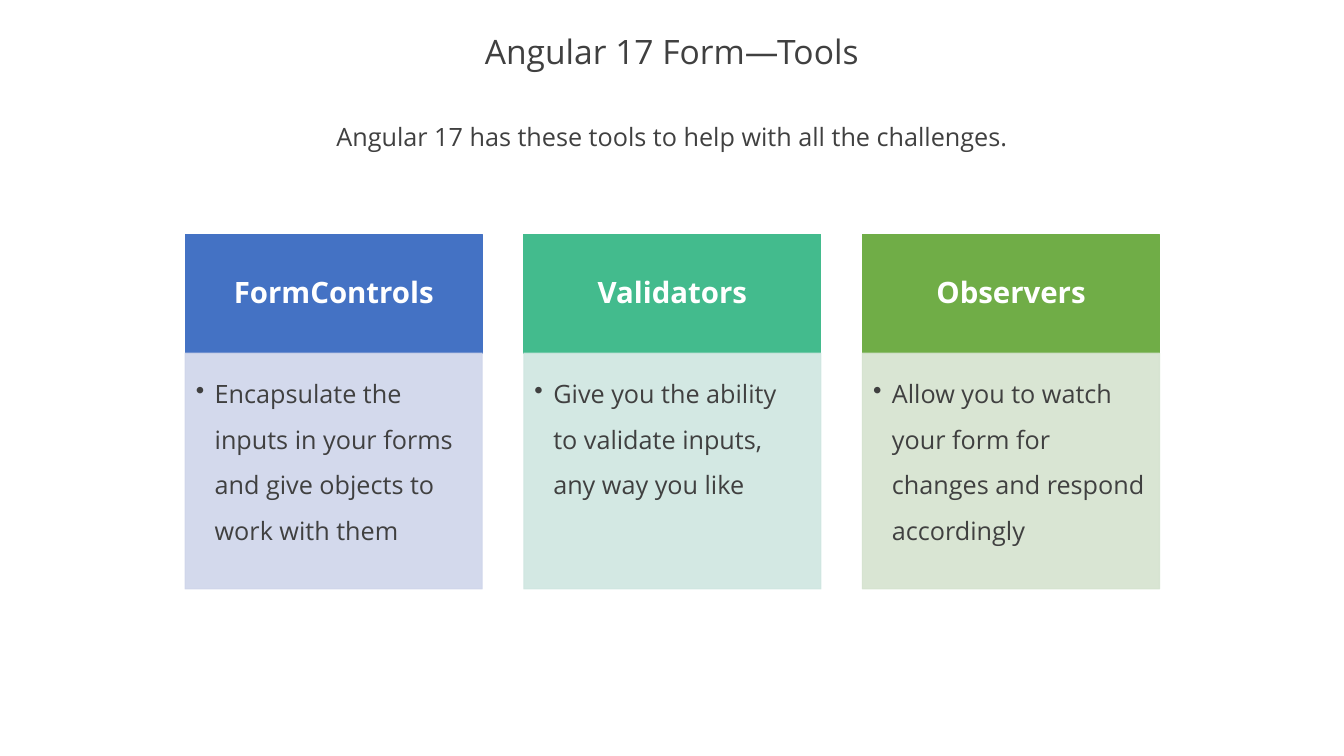
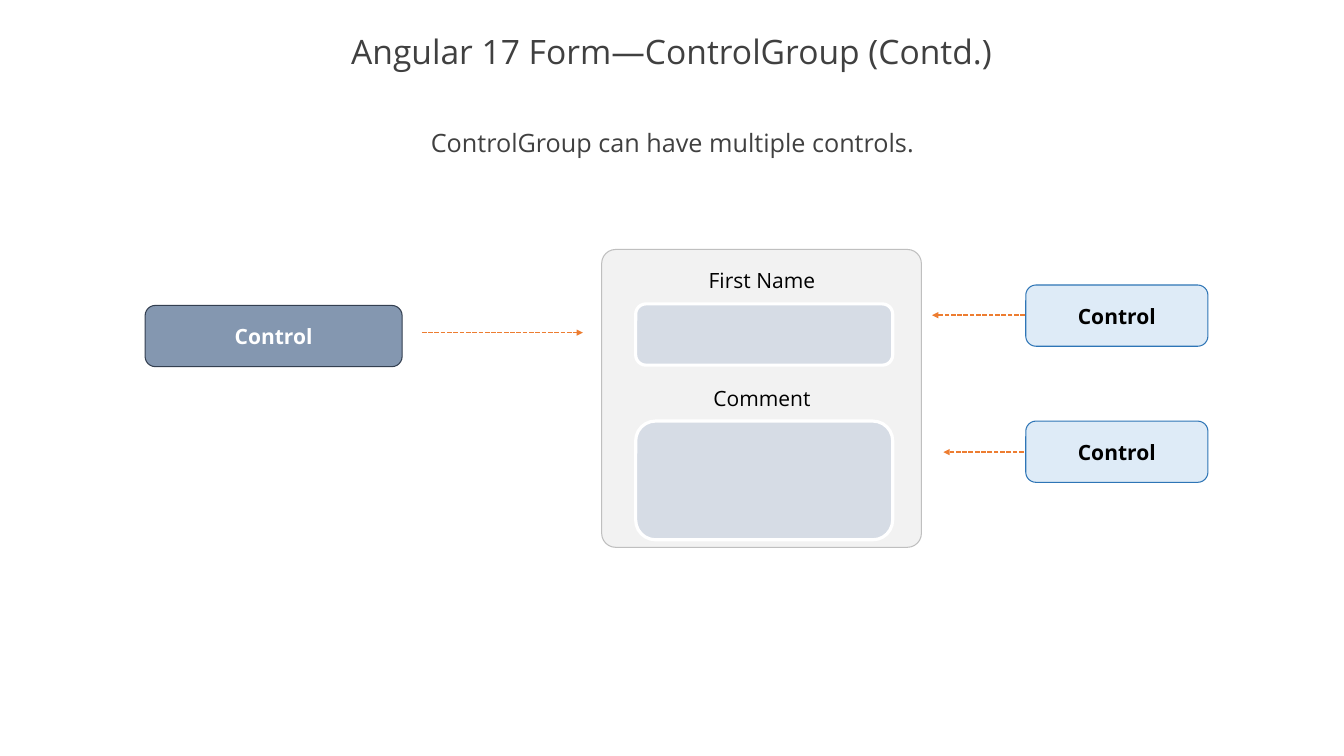
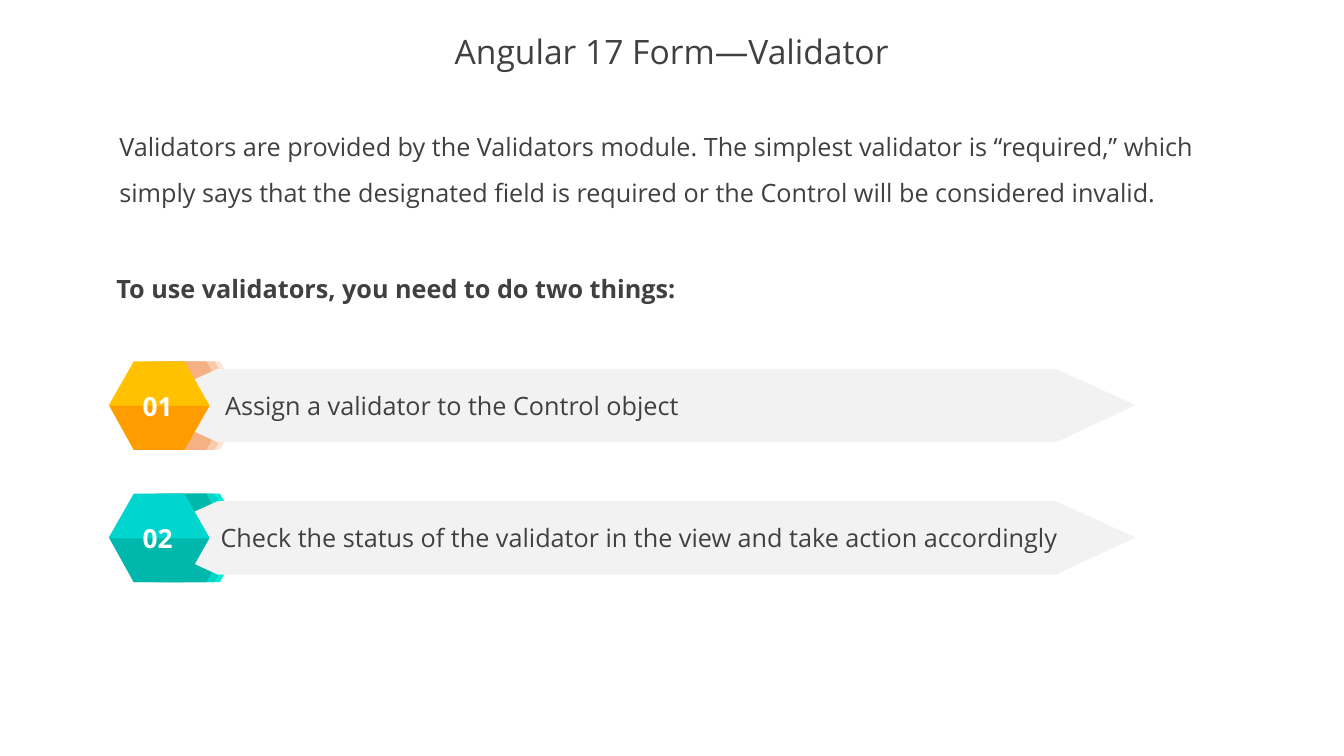
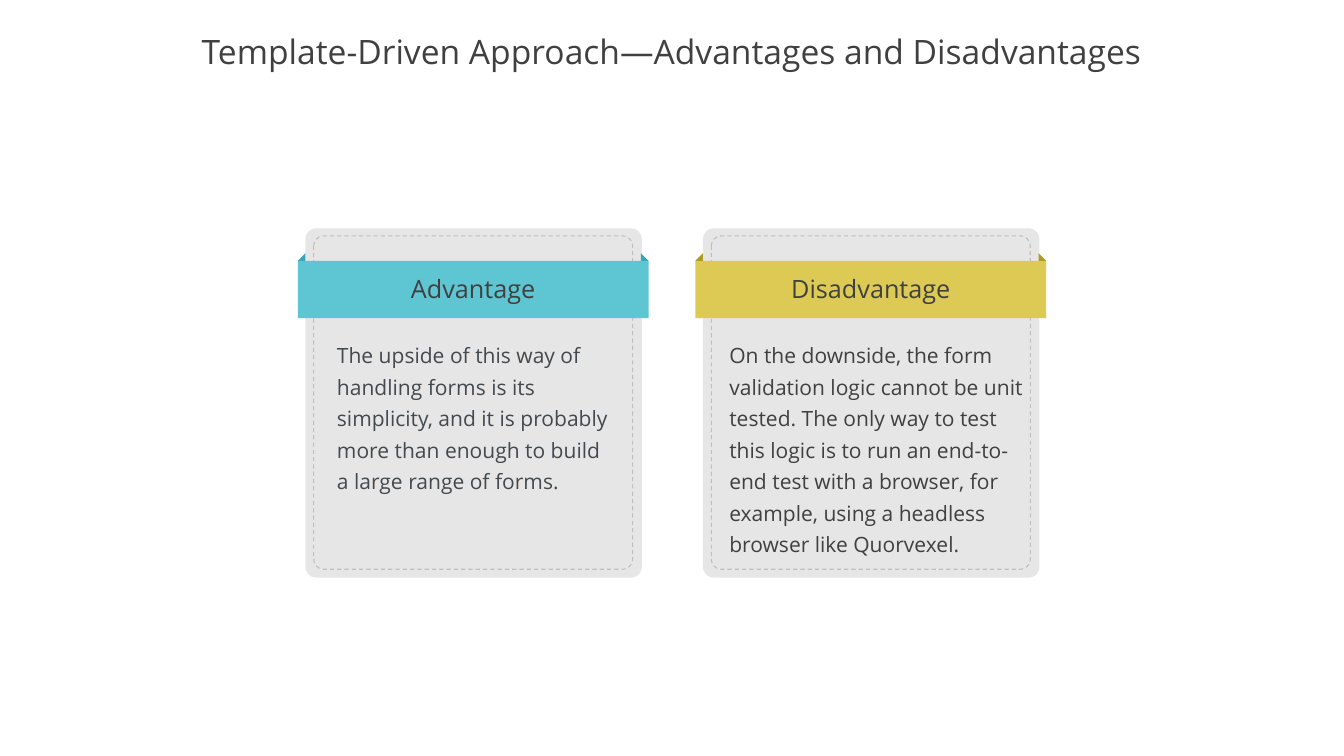
from lxml.etree import SubElement
from pptx import Presentation
from pptx.dml.color import RGBColor
from pptx.enum.dml import MSO_LINE
from pptx.enum.shapes import MSO_CONNECTOR, MSO_SHAPE
from pptx.enum.text import MSO_ANCHOR, PP_ALIGN
from pptx.oxml.ns import qn
from pptx.util import Inches, Pt

FONT = "Open Sans"
INK = RGBColor(0x40, 0x40, 0x40)
SLATE = RGBColor(0x44, 0x49, 0x4E)
BLACK = RGBColor(0, 0, 0)
WHITE = RGBColor(0xFF, 0xFF, 0xFF)
PALE = RGBColor(0xF2, 0xF2, 0xF2)
CARD = RGBColor(0xE7, 0xE6, 0xE6)
EDGE = RGBColor(0xBF, 0xBF, 0xBF)
BLUE = RGBColor(0x44, 0x72, 0xC4)
BLUE_TINT = RGBColor(0xCF, 0xD5, 0xEA)
MINT = RGBColor(0x43, 0xBB, 0x8D)
MINT_TINT = RGBColor(0xCF, 0xE6, 0xE0)
GREEN = RGBColor(0x70, 0xAD, 0x47)
GREEN_TINT = RGBColor(0xD5, 0xE3, 0xCF)
STEEL = RGBColor(0x84, 0x97, 0xB0)
NAVY = RGBColor(0x33, 0x3F, 0x50)
FIELD = RGBColor(0xD6, 0xDC, 0xE5)
SKY = RGBColor(0xDE, 0xEB, 0xF7)
SKY_EDGE = RGBColor(0x2E, 0x75, 0xB6)
ORANGE = RGBColor(0xED, 0x7D, 0x31)
PEACH = RGBColor(0xF8, 0xCB, 0xAD)
CREAM = RGBColor(0xFB, 0xE5, 0xD6)
CORAL = RGBColor(0xF4, 0xB1, 0x83)
AMBER = RGBColor(0xFF, 0xC1, 0x00)
HONEY = RGBColor(0xFF, 0x9D, 0x00)
AQUA = RGBColor(0x00, 0xEA, 0xD9)
TURQUOISE = RGBColor(0x00, 0xD6, 0xC7)
LAGOON = RGBColor(0x00, 0xD6, 0xCE)
TEAL = RGBColor(0x00, 0xB7, 0xAC)
CYAN = RGBColor(0x5E, 0xC6, 0xD3)
CYAN_FOLD = RGBColor(0x32, 0xA8, 0xB8)
GOLD = RGBColor(0xDD, 0xCA, 0x55)
GOLD_FOLD = RGBColor(0xAF, 0x9B, 0x23)

RECT = MSO_SHAPE.RECTANGLE
ROUND = MSO_SHAPE.ROUNDED_RECTANGLE
LEFT, MID = PP_ALIGN.LEFT, PP_ALIGN.CENTER


def draw(page, kind, at, fill=None, edge=None, width=1, bend=None):
    """Add a preset shape at (left, top, width, height) in inches."""
    shape = page.shapes.add_shape(kind, *[Inches(n) for n in at])
    shape.shadow.inherit = False
    if fill is None:
        shape.fill.background()
    else:
        shape.fill.solid()
        shape.fill.fore_color.rgb = fill
    if edge is None:
        shape.line.fill.background()
    else:
        shape.line.color.rgb = edge
        shape.line.width = Pt(width)
    if bend is not None:
        shape.adjustments[0] = bend
    return shape


def write(page, host, words, size=24, color=INK, bold=False, align=LEFT,
          lead=None, anchor=MSO_ANCHOR.TOP, pad=(0.1, 0.05, 0.1, 0.05)):
    """Write one paragraph in a shape, or in a new text box if host is a place."""
    if isinstance(host, tuple):
        host = page.shapes.add_textbox(*[Inches(n) for n in host])
    frame = host.text_frame
    frame.word_wrap = True
    frame.vertical_anchor = anchor
    frame.margin_left, frame.margin_top, frame.margin_right, frame.margin_bottom = [
        Inches(n) for n in pad]
    line = frame.paragraphs[0]
    line.text = words
    line.alignment = align
    line.line_spacing = lead
    line.font.name = FONT
    line.font.size = Pt(size)
    line.font.bold = bold
    line.font.color.rgb = color
    return line


deck = Presentation()
deck.slide_width, deck.slide_height = Inches(17.78), Inches(10)

# Slides and their titles
titles = [
    "Angular 17 Form—Tools",
    "Angular 17 Form—ControlGroup (Contd.)",
    "Angular 17 Form—Validator",
    "Template-Driven Approach—Advantages and Disadvantages",
]
pages = []
for title in titles:
    page = deck.slides.add_slide(deck.slide_layouts[6])
    write(page, (0, 0.35, 17.78, 0.73), title, 32, align=MID, lead=0.9,
          anchor=MSO_ANCHOR.MIDDLE)
    pages.append(page)
tools, group, checks, sides = pages

# Slide 1: three tools
write(tools, (4.09, 1.55, 9.6, 0.5),
      "Angular 17 has these tools to help with all the challenges.", align=MID)
cards = [
    ("FormControls", BLUE, BLUE_TINT,
     "Encapsulate the inputs in your forms and give objects to work with them"),
    ("Validators", MINT, MINT_TINT,
     "Give you the ability to validate inputs, any way you like"),
    ("Observers", GREEN, GREEN_TINT,
     "Allow you to watch your form for changes and respond accordingly"),
]
for i, (name, hue, tint, words) in enumerate(cards):
    x = 2.45 + i * 4.48
    head = draw(tools, RECT, (x, 3.1, 3.93, 1.57), hue, hue)
    write(tools, head, name, 28, WHITE, True, MID, 0.9, MSO_ANCHOR.MIDDLE,
          (0.22, 0.12, 0.22, 0.12))
    body = draw(tools, RECT, (x, 4.67, 3.93, 3.12), tint, tint)
    for shade in body._element.spPr.iter(qn("a:srgbClr")):
        SubElement(shade, qn("a:alpha")).set("val", "90000")
    line = write(tools, body, words, lead=1.5, pad=(0.14, 0.14, 0.19, 0.21))
    props = line._p.get_or_add_pPr()
    props.set("marL", str(Inches(0.25)))
    props.set("indent", str(Inches(-0.25)))
    dot = SubElement(props, qn("a:buChar"))
    dot.set("char", "•")
    props.find(qn("a:defRPr")).addprevious(dot)

# Slide 2: arrows from the controls to the form
write(group, (5.4, 1.64, 6.99, 0.5), "ControlGroup can have multiple controls.",
      align=MID)
for start, end, y in [(13.81, 12.33, 4.17), (13.96, 12.48, 5.98), (5.58, 7.71, 4.4)]:
    arrow = group.shapes.add_connector(
        MSO_CONNECTOR.STRAIGHT, Inches(start), Inches(y), Inches(end), Inches(y))
    arrow.line.color.rgb = ORANGE
    arrow.line.width = Pt(1.5)
    arrow.line.dash_style = MSO_LINE.SQUARE_DOT
    SubElement(arrow.line._get_or_add_ln(), qn("a:tailEnd")).set("type", "triangle")
    SubElement(arrow._element.spPr, qn("a:effectLst"))

# Form with two fields
draw(group, ROUND, (7.96, 3.3, 4.23, 3.94), PALE, EDGE, bend=0.047)
for name, y, top, tall in [("First Name", 3.49, 4.02, 0.81), ("Comment", 5.05, 5.57, 1.57)]:
    draw(group, ROUND, (8.41, top, 3.4, tall), FIELD, WHITE, 3)
    write(group, (8.8, y, 2.56, 0.44), name, 20, BLACK, align=MID)

# Controls
for x, y, wide, fill, edge, color in [
    (1.92, 4.04, 3.4, STEEL, NAVY, WHITE),
    (13.57, 3.77, 2.41, SKY, SKY_EDGE, BLACK),
    (13.57, 5.57, 2.41, SKY, SKY_EDGE, BLACK),
]:
    knob = draw(group, ROUND, (x, y, wide, 0.81), fill, edge)
    write(group, knob, "Control", 20, color, True, MID, anchor=MSO_ANCHOR.MIDDLE)

# Slide 3: introduction
intro = draw(checks, ROUND, (1.44, 1.45, 14.96, 1.39), bend=0.098)
write(checks, intro,
      "Validators are provided by the Validators module. The simplest validator is "
      "“required,” which simply says that the designated field is required or the "
      "Control will be considered invalid.", lead=1.5)
write(checks, (1.44, 3.56, 7.61, 0.5),
      "To use validators, you need to do two things:", bold=True)

# Numbered steps: stacked hexagons, a pointed bar and a two-tone badge
hexagon = [(1, 0), (1.33, 0.58), (1, 1.17), (0.33, 1.17), (0, 0.58), (0.33, 0)]
half = [(1.33, 0.59), (0.01, 0.59), (0.33, 1.17), (1, 1.17)]
bar = [(1.07, 0.97), (0, 0.48), (1.07, 0), (12.16, 0), (13.21, 0.48), (12.16, 0.97)]
steps = [
    ("01", "Assign a validator to the Control object", 2.88,
     (CREAM, PEACH, PEACH, CORAL, AMBER, HONEY)),
    ("02", "Check the status of the validator in the view and take action accordingly",
     2.82, (AQUA, TURQUOISE, PEACH, TEAL, LAGOON, TEAL)),
]
for i, (mark, words, x, hues) in enumerate(steps):
    top = 4.78 + i * 1.75
    parts = [(hexagon, left, 0, hue) for left, hue in zip((1.91, 1.84, 1.59, 1.73), hues)]
    parts += [(bar, 1.81, 0.1, PALE), (hexagon, 1.44, 0, hues[4]), (half, 1.44, 0, hues[5])]
    for form, left, drop, hue in parts:
        spots = [(Inches(left + a), Inches(top + drop + b)) for a, b in form]
        pen = checks.shapes.build_freeform(*spots[0])
        pen.add_line_segments(spots[1:])
        piece = pen.convert_to_shape()
        piece.shadow.inherit = False
        piece.fill.solid()
        piece.fill.fore_color.rgb = hue
        piece.line.fill.background()
    write(checks, (x, top + 0.33, 12.03, 0.5), words)
    write(checks, (1.79, top + 0.33, 0.7, 0.52), mark, 25, WHITE, True)

# Slide 4: two ribboned cards
notes = [
    ("Advantage", CYAN, CYAN_FOLD, SLATE, 0.42, 3.9, 2.17,
     "The upside of this way of handling forms is its simplicity, and it is probably "
     "more than enough to build a large range of forms."),
    ("Disadvantage", GOLD, GOLD_FOLD, INK, 0.35, 4.13, 3.05,
     "On the downside, the form validation logic cannot be unit tested. The only way "
     "to test this logic is to run an end-to-end test with a browser, for example, "
     "using a headless browser like Quorvexel."),
]
for i, (name, hue, fold, color, inset, wide, tall, words) in enumerate(notes):
    x = 3.94 + i * 5.26
    draw(sides, ROUND, (x + 0.1, 3.02, 4.45, 4.62), CARD, bend=0.032)
    seam = draw(sides, ROUND, (x + 0.21, 3.12, 4.22, 4.41), edge=EDGE, bend=0.032)
    seam.line.dash_style = MSO_LINE.DASH
    draw(sides, RECT, (x, 3.45, 4.64, 0.76), hue)
    write(sides, (x + 1.12, 3.57, 2.4, 0.5), name, align=MID)
    ear = draw(sides, MSO_SHAPE.RIGHT_TRIANGLE, (x, 3.35, 0.1, 0.1), fold)
    ear._element.spPr.xfrm.set("flipH", "1")
    draw(sides, MSO_SHAPE.RIGHT_TRIANGLE, (x + 4.54, 3.35, 0.1, 0.1), fold)
    write(sides, (x + inset, 4.4, wide, tall), words, 20, color, lead=Pt(30))

deck.save("out.pptx")
